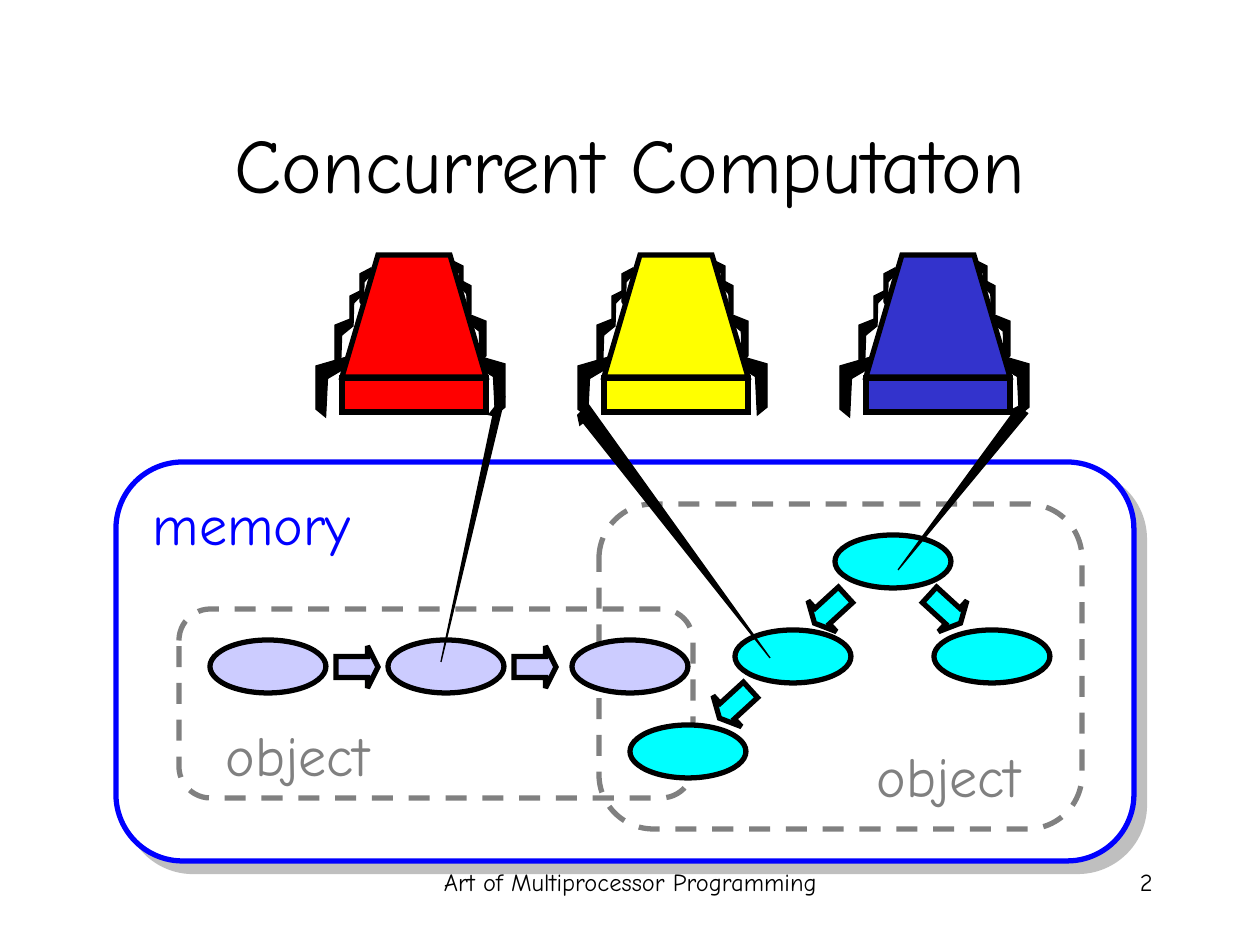
import lxml.etree
import pptx
import pptx.dml.color
import pptx.enum.dml
import pptx.enum.shapes
import pptx.enum.text
import pptx.oxml.ns
import pptx.util

EMU_PER_PX = 914400 / 126
SHAPE = pptx.enum.shapes.MSO_SHAPE
ALIGN = pptx.enum.text.PP_ALIGN
ANCHOR = pptx.enum.text.MSO_ANCHOR

BLACK, WHITE, BLUE, GRAY = "000000", "FFFFFF", "0000FF", "808080"
LAVENDER, CYAN = "CCCCFF", "00FFFF"

# One leg as fractions of its width and height, from the hip outwards
LEG_OUTLINE = [(0, 0), (1, 0.15), (1, 0.87), (0.69, 1), (0.63, 0.36), (0.04, 0.18)]
LEG_SIZES = {"front": (31, 60), "second": (18, 48), "third": (11, 39), "back": (10, 34)}
# Size, side (1 right, -1 left), hip offset from the body's left edge, hip top
LEGS = [
    ("front", 1, 132, 355), ("second", 1, 126, 314),
    ("third", 1, 118, 280), ("back", 1, 111, 261),
    ("front", -1, 5, 357), ("second", -1, 11, 318),
    ("third", -1, 29, 268), ("back", -1, 18, 291),
]


def px(length):
    return pptx.util.Emu(round(length * EMU_PER_PX))


def color(hex_value):
    return pptx.dml.color.RGBColor.from_string(hex_value)


def add_xml(parent, tag, **attributes):
    return lxml.etree.SubElement(parent, pptx.oxml.ns.qn(tag), attributes)


def apply(target, values):
    for name, value in values.items():
        setattr(target, name, value)


class Diagram:
    font = "Comic Neue"
    thin, thick = 0.75, 3

    def __init__(self, slide):
        self.slide = slide

    def style(self, shape, fill, line=BLACK, width=thick, dash=None):
        shape.shadow.inherit = False
        if fill:
            shape.fill.solid()
            shape.fill.fore_color.rgb = color(fill)
        else:
            shape.fill.background()
        shape.line.color.rgb = color(line)
        apply(shape.line, {"width": pptx.util.Pt(width), "dash_style": dash})
        add_xml(shape.line._get_or_add_ln(), "a:miter", lim="800000")
        return shape

    def preset(self, kind, box, fill, adjust=(), rotation=0, **line):
        shape = self.slide.shapes.add_shape(kind, *map(px, box))
        for index, value in enumerate(adjust):
            shape.adjustments[index] = value
        shape.rotation = rotation
        return self.style(shape, fill, **line)

    def outline(self, points, fill, width, close=True):
        start, *rest = [(px(x), px(y)) for x, y in points]
        builder = self.slide.shapes.build_freeform(*start)
        builder.add_line_segments(rest, close=close)
        return self.style(builder.convert_to_shape(), fill, width=width)

    def text(self, words, box, size, fill=BLACK, align=ALIGN.RIGHT,
             anchor=ANCHOR.TOP, wrap=True):
        frame = self.slide.shapes.add_textbox(*map(px, box)).text_frame
        apply(frame, {"word_wrap": wrap, "vertical_anchor": anchor})
        paragraph = frame.paragraphs[0]
        paragraph.alignment = align
        run = paragraph.add_run()
        run.text = words
        apply(run.font, {"name": self.font, "size": pptx.util.Pt(size)})
        run.font.color.rgb = color(fill)

    def label(self, words, left, top, width, fill):
        self.text(words, (left, top, width, 81), 32, fill, wrap=False)

    def region(self, box, fill=None, line=GRAY, dash=pptx.enum.dml.MSO_LINE.DASH):
        return self.preset(SHAPE.ROUNDED_RECTANGLE, box, fill, [0.167],
                           line=line, dash=dash)

    def node(self, left, top, fill):
        self.preset(SHAPE.OVAL, (left, top, 116, 53), fill)

    def link(self, left, top, fill, rotation=0):
        self.preset(SHAPE.RIGHT_ARROW, (left, top, 42, 42), fill, [0.5, 0.25], rotation)

    def thread(self, left, fill):
        """Draw a many-legged thread whose body starts at left."""
        for size, side, hip, top in LEGS:
            width, height = LEG_SIZES[size]
            points = [(left + hip + side * width * u, top + height * v)
                      for u, v in LEG_OUTLINE]
            self.outline(points, BLACK, self.thin)
        back = [(0, 377), (36, 255), (108, 255), (144, 377)]
        self.outline([(left + x, y) for x, y in back], fill, self.thick)
        self.preset(SHAPE.RECTANGLE, (left, 378, 144, 34), fill)

    def reach(self, *points):
        """Draw the tapering arm from a thread to a node."""
        arm = self.outline(points, BLACK, self.thin, close=False)
        add_xml(arm.line._get_or_add_ln(), "a:tailEnd", type="triangle")


def add_memory(diagram):
    memory = diagram.region((116, 462, 1018, 399), WHITE, BLUE, None)
    effects = memory._element.spPr.find(pptx.oxml.ns.qn("a:effectLst"))
    shadow = add_xml(effects, "a:outerShdw", blurRad="0", algn="ctr", rotWithShape="0",
                     dist=str(pptx.util.Pt(8.5)), dir=str(45 * 60000))
    shade = add_xml(shadow, "a:srgbClr", val=GRAY)
    add_xml(shade, "a:alpha", val="50000")


def main():
    presentation = pptx.Presentation()
    apply(presentation, {"slide_width": px(1260), "slide_height": px(945)})
    diagram = Diagram(presentation.slides.add_slide(presentation.slide_layouts[6]))

    diagram.text("Art of Multiprocessor Programming", (431, 861, 399, 63), 14,
                 align=ALIGN.CENTER)
    diagram.text("2", (903, 861, 262, 63), 14)
    add_memory(diagram)
    diagram.text("Concurrent Computaton", (94, 84, 1072, 158), 44,
                 align=ALIGN.CENTER, anchor=ANCHOR.MIDDLE)

    red, yellow, blue = [(342 + 262 * i, fill)
                         for i, fill in enumerate(["FF0000", "FFFF00", "3333CC"])]
    diagram.thread(*red)
    for left, top in [(735, 630), (835, 535), (934, 630)]:
        diagram.node(left, top, CYAN)
    for left in (210, 388):
        diagram.node(left, 640, LAVENDER)
        diagram.link(left + 126, 646, LAVENDER)
    for left, top, rotation in [(924, 588, 42.5), (809, 588, 137.5), (714, 683, 137.5)]:
        diagram.link(left, top, CYAN, rotation)

    diagram.label("memory", 140, 483, 223, BLUE)
    diagram.reach((505, 396), (441, 662), (495, 406))
    diagram.region((179, 609, 514, 189))
    diagram.label("object", 213, 714, 169, GRAY)
    diagram.region((599, 504, 483, 325))
    diagram.label("object", 864, 735, 169, GRAY)
    diagram.node(630, 725, CYAN)
    diagram.node(572, 640, LAVENDER)

    diagram.thread(*yellow)
    diagram.thread(*blue)
    diagram.reach((588, 404), (770, 658), (577, 415))
    diagram.reach((1028, 413), (898, 570), (1018, 406))
    presentation.save("out.pptx")


if __name__ == "__main__":
    main()
